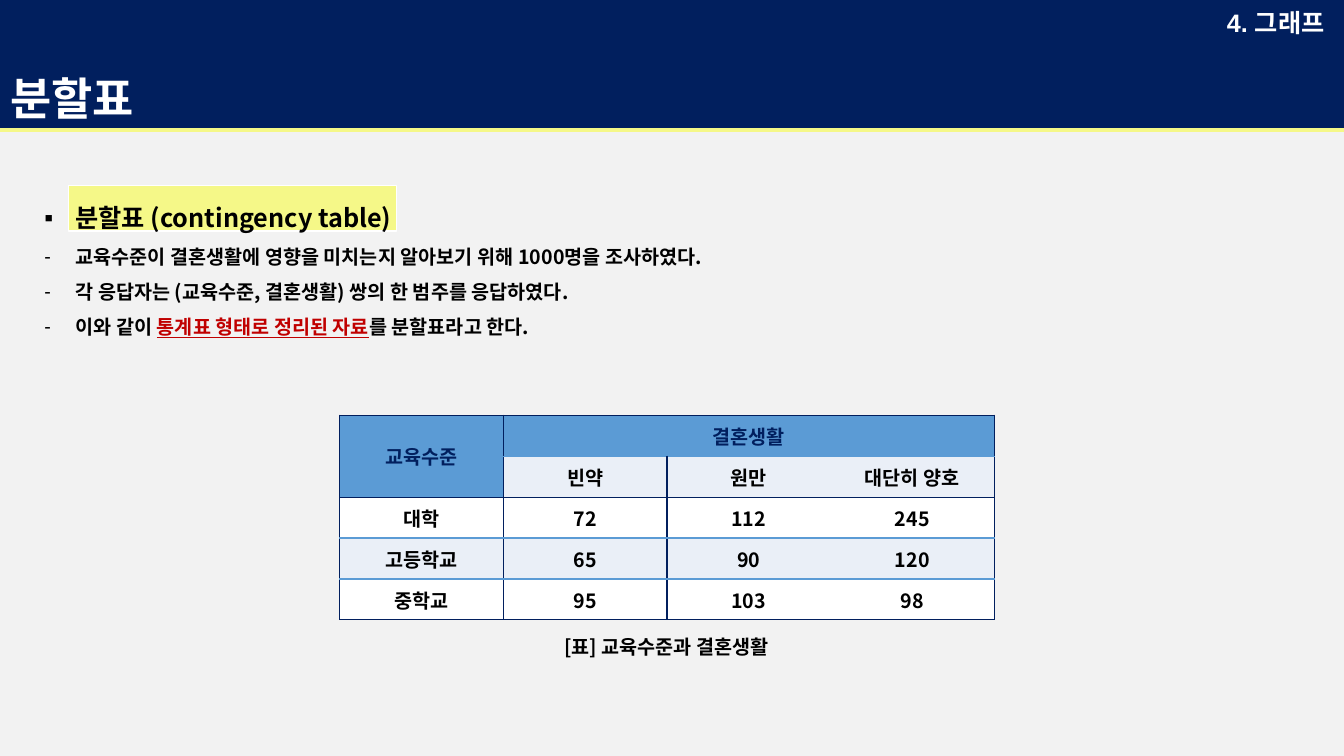
from dataclasses import dataclass

from lxml.etree import SubElement
from pptx import Presentation
from pptx.dml.color import RGBColor
from pptx.enum.shapes import MSO_CONNECTOR, MSO_SHAPE
from pptx.enum.text import MSO_ANCHOR, MSO_AUTO_SIZE, PP_ALIGN
from pptx.oxml.ns import qn
from pptx.util import Inches, Pt

# Content
TITLE = "분할표"
CHAPTER = "4. 그래프"
CAPTION = "[표] 교육수준과 결혼생활"
BODY = [  # bullet, size name, runs as (text, emphasised)
    ("▪", "heading", [("분할표 (contingency table)", False)]),
    ("-", "text", [("교육수준이 결혼생활에 영향을 미치는지 알아보기 위해 1000명을 조사하였다.", False)]),
    ("-", "text", [("각 응답자는 (교육수준, 결혼생활) 쌍의 한 범주를 응답하였다.", False)]),
    ("-", "text", [("이와 같이 ", False), ("통계표 형태로 정리된 자료", True),
                   ("를 분할표라고 한다.", False)]),
]
TABLE = [
    ["교육수준", "결혼생활", "", ""],
    ["", "빈약", "원만", "대단히 양호"],
    ["대학", "72", "112", "245"],
    ["고등학교", "65", "90", "120"],
    ["중학교", "95", "103", "98"],
]
MERGES = [((0, 0), (1, 0)), ((0, 1), (0, 3))]


@dataclass(frozen=True)
class Theme:
    navy: str = "011F5E"
    yellow: str = "F5F888"
    blue: str = "5B9BD5"
    pale: str = "EAEFF7"
    grey: str = "F2F2F2"
    white: str = "FFFFFF"
    black: str = "000000"
    red: str = "C00000"
    title: int = 32
    heading: int = 18
    text: int = 14
    title_font: str = "Arial"
    body_font: str = "Noto Sans CJK KR"


THEME = Theme()
WIDTH, HEIGHT = 13.33, 7.5
BAND_HEIGHT = 1.29
NO_STYLE = "{2D5ABB26-0587-4C30-8999-92F81FD0307C}"

# Border colour of each grid line, from the outer edge inwards; None is no line
ROW_LINES = [THEME.navy, THEME.blue, THEME.navy, THEME.blue, THEME.blue, THEME.navy]
COLUMN_LINES = [THEME.navy, THEME.navy, THEME.navy, None, THEME.navy]


def rgb(value):
    return RGBColor.from_string(value)


def paint(shape, color):
    shape.fill.solid()
    shape.fill.fore_color.rgb = rgb(color)


def place(shape, left, top, width, height):
    shape.left, shape.top = Inches(left), Inches(top)
    shape.width, shape.height = Inches(width), Inches(height)


def format_run(run, size, color=THEME.black, name=THEME.body_font):
    font = run.font
    font.size, font.bold, font.name = Pt(size), True, name
    font.color.rgb = rgb(color)
    SubElement(font._element, qn("a:ea"), typeface=THEME.body_font)


def add_bullet(paragraph, character):
    properties = paragraph._p.get_or_add_pPr()
    properties.set("marL", str(Inches(0.31)))
    properties.set("indent", str(-Inches(0.31)))
    SubElement(properties, qn("a:buFont"), typeface=THEME.title_font)
    SubElement(properties, qn("a:buChar"), char=character)


def add_label(slide, text, box, size, color, name, wrap):
    label = slide.shapes.add_textbox(*map(Inches, box))
    frame = label.text_frame
    frame.text = text
    frame.word_wrap = wrap
    frame.auto_size = MSO_AUTO_SIZE.SHAPE_TO_FIT_TEXT
    format_run(frame.paragraphs[0].runs[0], size, color, name)
    return frame.paragraphs[0]


def set_border(cell, tag, color):
    line = SubElement(cell._tc.get_or_add_tcPr(), qn(tag), w=str(Pt(1)))
    if color is None:
        SubElement(line, qn("a:noFill"))
    else:
        SubElement(SubElement(line, qn("a:solidFill")), qn("a:srgbClr"), val=color)


def build_header(slide):
    title = slide.shapes.title
    place(title, 0, 0, WIDTH, BAND_HEIGHT)
    paint(title, THEME.navy)
    frame = title.text_frame
    frame.text = TITLE
    frame.vertical_anchor = MSO_ANCHOR.BOTTOM
    frame.auto_size = MSO_AUTO_SIZE.NONE
    paragraph = frame.paragraphs[0]
    paragraph.alignment = PP_ALIGN.LEFT
    paragraph.line_spacing = 0.9
    format_run(paragraph.runs[0], THEME.title, THEME.white, THEME.title_font)

    add_label(slide, CHAPTER, (12.07, 0.02, 1.26, 0.4), THEME.heading,
              THEME.white, THEME.title_font, False)

    rule = slide.shapes.add_connector(MSO_CONNECTOR.STRAIGHT, 0, Inches(BAND_HEIGHT),
                                      Inches(WIDTH), Inches(BAND_HEIGHT))
    rule.line.color.rgb = rgb(THEME.yellow)
    rule.line.width = Pt(2.25)
    SubElement(rule._element.spPr, qn("a:effectLst"))


def build_body(slide):
    body = slide.placeholders[1]
    place(body, 0.34, 1.81, 12.55, 1.57)
    frame = body.text_frame
    frame.auto_size = MSO_AUTO_SIZE.SHAPE_TO_FIT_TEXT
    for index, (bullet, size, runs) in enumerate(BODY):
        paragraph = frame.add_paragraph() if index else frame.paragraphs[0]
        paragraph.line_spacing = 1.5
        paragraph.space_before = Pt(0)
        add_bullet(paragraph, bullet)
        for text, emphasised in runs:
            run = paragraph.add_run()
            run.text = text
            format_run(run, getattr(THEME, size), THEME.red if emphasised else THEME.black)
            run.font.underline = emphasised

    # Highlight behind the heading
    highlight = slide.shapes.add_shape(MSO_SHAPE.RECTANGLE, *map(Inches, (0.68, 1.84, 3.25, 0.45)))
    highlight.shadow.inherit = False
    paint(highlight, THEME.yellow)
    highlight.line.color.rgb = rgb(THEME.white)
    highlight.line.width = Pt(1)
    slide.shapes._spTree.insert(2, highlight._element)


def build_table(slide):
    rows, columns = len(TABLE), len(TABLE[0])
    frame = slide.shapes.add_table(rows, columns, *map(Inches, (3.37, 4.12, 6.49, 2.03)))
    table = frame.table
    table._tbl.tblPr.find(qn("a:tableStyleId")).text = NO_STYLE
    for start, end in MERGES:
        table.cell(*start).merge(table.cell(*end))

    for row, values in enumerate(TABLE):
        for column, value in enumerate(values):
            cell = table.cell(row, column)
            header = row == 0 or (row == 1 and column == 0)
            if not cell.is_spanned:
                height = cell.span_height if cell.is_merge_origin else 1
                width = cell.span_width if cell.is_merge_origin else 1
                set_border(cell, "a:lnL", COLUMN_LINES[column])
                set_border(cell, "a:lnR", COLUMN_LINES[column + width])
                set_border(cell, "a:lnT", ROW_LINES[row])
                set_border(cell, "a:lnB", ROW_LINES[row + height])
                cell.text_frame.text = value
                cell.vertical_anchor = MSO_ANCHOR.MIDDLE
                paragraph = cell.text_frame.paragraphs[0]
                paragraph.alignment = PP_ALIGN.CENTER
                format_run(paragraph.runs[0], THEME.text, THEME.navy if header else THEME.black)
            banded = THEME.pale if row % 2 else THEME.white
            paint(cell, THEME.blue if header else banded)

    caption = add_label(slide, CAPTION, (5.35, 6.25, 2.52, 0.34), THEME.text,
                        THEME.black, THEME.body_font, True)
    caption.alignment = PP_ALIGN.CENTER


def main():
    presentation = Presentation()
    presentation.slide_width, presentation.slide_height = Inches(WIDTH), Inches(HEIGHT)
    slide = presentation.slides.add_slide(presentation.slide_layouts[1])
    paint(slide.background, THEME.grey)
    build_header(slide)
    build_body(slide)
    build_table(slide)
    presentation.save("out.pptx")


if __name__ == "__main__":
    main()
